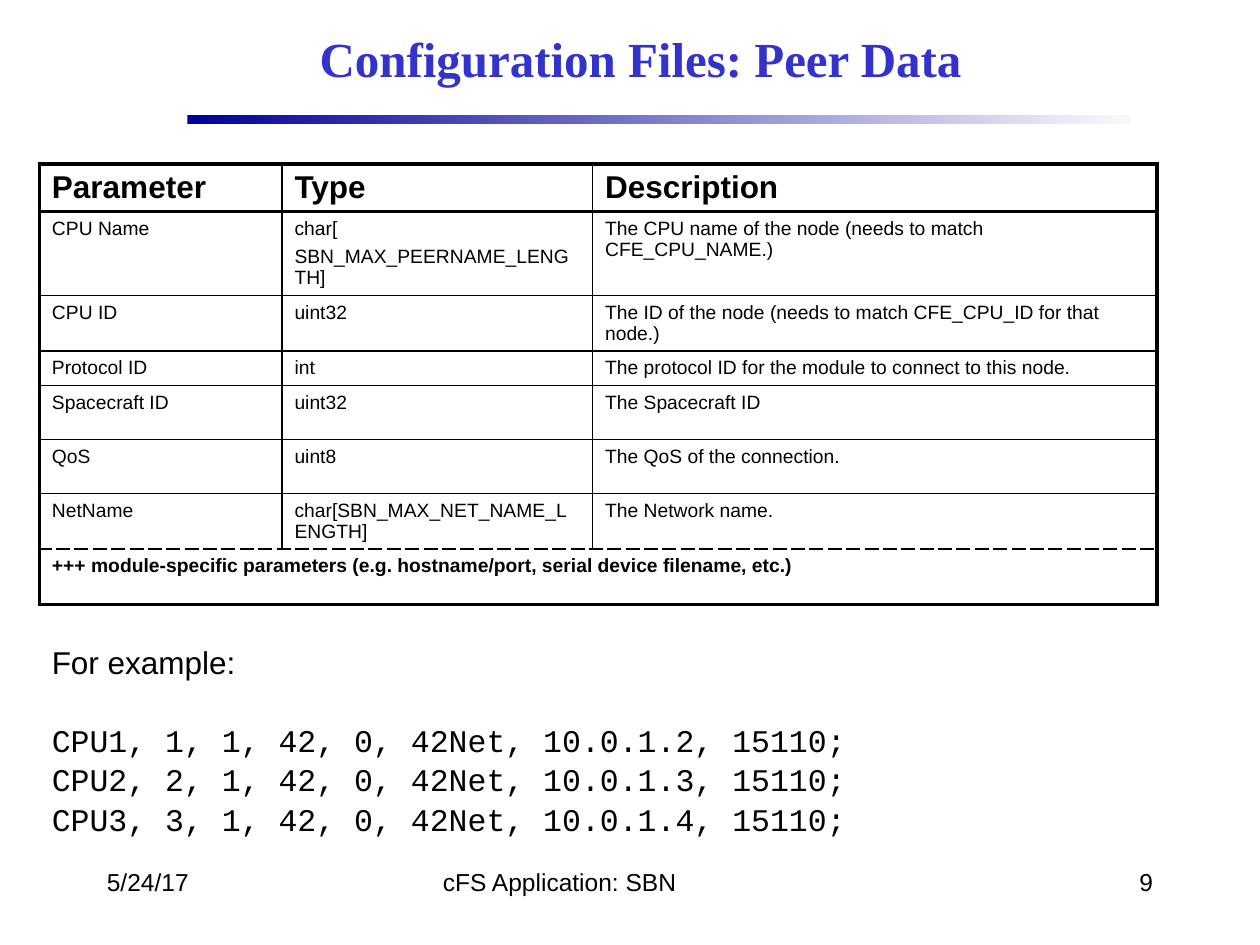
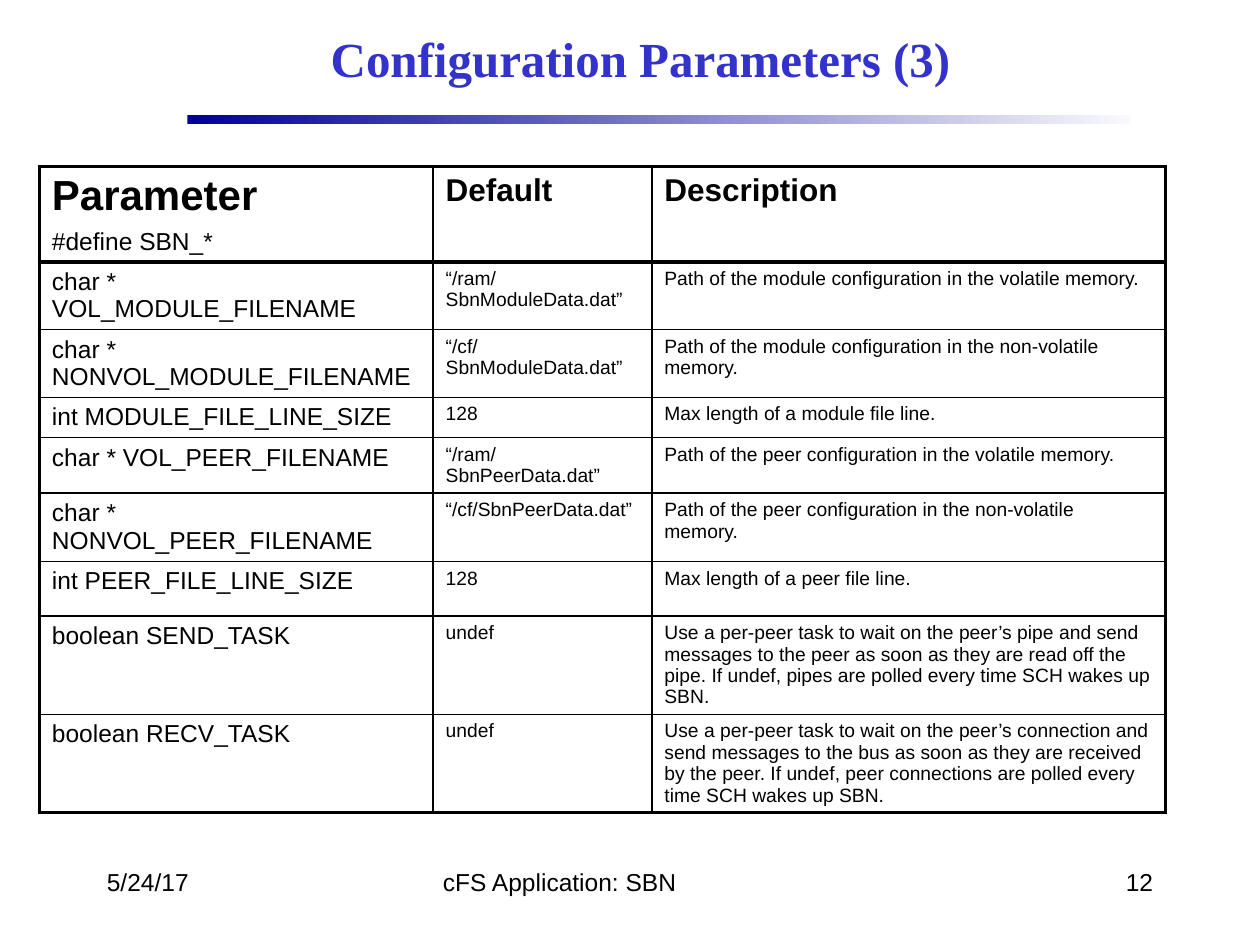
import pptx
import pptx.util
import pptx.dml.color
import pptx.enum.shapes
import pptx.enum.text
import pptx.oxml
import pptx.oxml.ns
from lxml import etree

Pt = pptx.util.Pt
ALIGN = pptx.enum.text.PP_ALIGN
BLACK, TITLE_BLUE = "000000", "3333CC"
BAR_COLOURS = ("000099", "F9F9FD")
THICK, THIN = 2.25, 1


def add_run(paragraph, text, size, bold=False, face="Arial", colour=BLACK):
    run = paragraph.add_run()
    run.text = text
    run.font.size = Pt(size)
    run.font.bold = bold
    run.font.name = face
    run.font.color.rgb = pptx.dml.color.RGBColor.from_string(colour)


def add_border(cell, side, width, dash="solid"):
    """Draw one cell border; side is L, R, T or B, in that order."""
    cell_properties = cell._tc.get_or_add_tcPr()
    line = etree.SubElement(cell_properties, pptx.oxml.ns.qn(f"a:ln{side}"), w=str(Pt(width)))
    fill = etree.SubElement(line, pptx.oxml.ns.qn("a:solidFill"))
    etree.SubElement(fill, pptx.oxml.ns.qn("a:srgbClr"), val=BLACK)
    etree.SubElement(line, pptx.oxml.ns.qn("a:prstDash"), val=dash)


# Each header cell is a list of (text, size, bold) lines.
pages = [
    {
        "title": "Configuration Files: Peer Data",
        "number": "9",
        "top": 93.6,
        "columns": [138.6, 177.5, 322.5],
        "heights": [27.4, 48, 31.7, 19.5, 31, 31, 31.5, 31.5],
        "header": [[("Parameter", 18, True)], [("Type", 18, True)], [("Description", 18, True)]],
        "body_sizes": [11, 11, 11],
        "rows": [
            ["CPU Name", "char[\nSBN_MAX_PEERNAME_LENGTH]",
             "The CPU name of the node (needs to match CFE_CPU_NAME.)"],
            ["CPU ID", "uint32", "The ID of the node (needs to match CFE_CPU_ID for that node.)"],
            ["Protocol ID", "int", "The protocol ID for the module to connect to this node."],
            ["Spacecraft ID", "uint32", "The Spacecraft ID"],
            ["QoS", "uint8", "The QoS of the connection."],
            ["NetName", "char[SBN_MAX_NET_NAME_LENGTH]", "The Network name."],
        ],
        "closing": "+++ module-specific parameters (e.g. hostname/port, serial device filename, etc.)",
        "example": [
            "CPU1, 1, 1, 42, 0, 42Net, 10.0.1.2, 15110;",
            "CPU2, 2, 1, 42, 0, 42Net, 10.0.1.3, 15110;",
            "CPU3, 3, 1, 42, 0, 42Net, 10.0.1.4, 15110;",
        ],
    },
    {
        "title": "Configuration Parameters (3)",
        "number": "12",
        "top": 95,
        "columns": [225, 125, 293.5],
        "heights": [54.6, 38.6, 38.6, 23.1, 31.2, 39, 31.2, 56.2, 56.2],
        "header": [[("Parameter", 24, True), ("#define SBN_*", 14, False)],
                   [("Default", 18, True)], [("Description", 18, True)]],
        "body_sizes": [14, 11, 11],
        "rows": [
            ["char * VOL_MODULE_FILENAME", "“/ram/SbnModuleData.dat”",
             "Path of the module configuration in the volatile memory."],
            ["char * NONVOL_MODULE_FILENAME", "“/cf/SbnModuleData.dat”",
             "Path of the module configuration in the non-volatile memory."],
            ["int MODULE_FILE_LINE_SIZE", "128", "Max length of a module file line."],
            ["char * VOL_PEER_FILENAME", "“/ram/SbnPeerData.dat”",
             "Path of the peer configuration in the volatile memory."],
            ["char * NONVOL_PEER_FILENAME", "“/cf/SbnPeerData.dat”",
             "Path of the peer configuration in the non-volatile memory."],
            ["int PEER_FILE_LINE_SIZE", "128", "Max length of a peer file line."],
            ["boolean SEND_TASK", "undef",
             "Use a per-peer task to wait on the peer’s pipe and send messages to the peer as soon "
             "as they are read off the pipe. If undef, pipes are polled every time SCH wakes up SBN."],
            ["boolean RECV_TASK", "undef",
             "Use a per-peer task to wait on the peer’s connection and send messages to the bus as "
             "soon as they are received by the peer. If undef, peer connections are polled every "
             "time SCH wakes up SBN."],
        ],
        "closing": None,
        "example": [],
    },
]

prs = pptx.Presentation()
prs.slide_width, prs.slide_height = Pt(720), Pt(540)
title_only = prs.slide_layouts[5]

for page in pages:
    slide = prs.slides.add_slide(title_only)

    # Title and the fading bar under it
    title = slide.shapes.title
    title.left, title.top, title.width, title.height = Pt(108), Pt(6), Pt(516), Pt(54)
    title.text_frame.vertical_anchor = pptx.enum.text.MSO_ANCHOR.MIDDLE
    heading = title.text_frame.paragraphs[0]
    heading.alignment = ALIGN.CENTER
    add_run(heading, page["title"], 28, True, "Times New Roman", TITLE_BLUE)

    bar = slide.shapes.add_shape(pptx.enum.shapes.MSO_SHAPE.RECTANGLE,
                                 Pt(107), Pt(65.8), Pt(539), Pt(5.2))
    bar.shadow.inherit = False
    bar.line.fill.background()
    bar.fill.gradient()
    bar.fill.gradient_angle = 0
    for stop, colour, position in zip(bar.fill.gradient_stops, BAR_COLOURS, (0, 1)):
        stop.color.rgb = pptx.dml.color.RGBColor.from_string(colour)
        stop.position = position

    # Parameter table
    contents = [page["header"]]
    for row in page["rows"]:
        contents.append([[(line, size, False) for line in text.split("\n")]
                         for text, size in zip(row, page["body_sizes"])])
    if page["closing"]:
        contents.append([[(page["closing"], 11, True)], [], []])
    last_row, last_column = len(contents) - 1, len(page["columns"]) - 1

    parameters = slide.shapes.add_table(
        len(contents), len(page["columns"]), Pt(22.5), Pt(page["top"]),
        Pt(sum(page["columns"])), Pt(sum(page["heights"]))).table
    parameters.first_row = parameters.horz_banding = False
    for column, width in zip(parameters.columns, page["columns"]):
        column.width = Pt(width)
    for row, height in zip(parameters.rows, page["heights"]):
        row.height = Pt(height)
    if page["closing"]:
        parameters.cell(last_row, 0).merge(parameters.cell(last_row, last_column))

    # Row edges: thick around the table and under the header, dashed above the closing row
    row_edges = [(THIN, "solid")] * (len(contents) + 1)
    row_edges[0] = row_edges[1] = row_edges[-1] = (THICK, "solid")
    if page["closing"]:
        row_edges[last_row] = (THIN, "dash")

    for r, row in enumerate(contents):
        for c, lines in enumerate(row):
            cell = parameters.cell(r, c)
            closes_right = c == last_column or (page["closing"] and r == last_row)
            add_border(cell, "L", THICK if c == 0 else THIN)
            add_border(cell, "R", THICK if closes_right else THIN)
            add_border(cell, "T", *row_edges[r])
            add_border(cell, "B", *row_edges[r + 1])
            cell.fill.background()
            for i, (text, size, bold) in enumerate(lines):
                frame = cell.text_frame
                paragraph = frame.add_paragraph() if i else frame.paragraphs[0]
                if i:
                    paragraph.space_before = Pt(0.35 * size)
                add_run(paragraph, text, size, bold)

    # Sample peer file
    if page["example"]:
        sample = slide.shapes.add_textbox(Pt(22.5), Pt(363.6), Pt(654.5), Pt(116.6)).text_frame
        sample.word_wrap = True
        add_run(sample.paragraphs[0], "For example:", 18)
        for i, entry in enumerate(page["example"]):
            paragraph = sample.add_paragraph()
            paragraph.space_before = Pt(1 if i else 23)
            add_run(paragraph, entry, 18, face="Courier New")

    # Footer
    for text, left, width, alignment in (
            ("5/24/17", 54, 150, ALIGN.LEFT),
            ("cFS Application: SBN", 246, 228, ALIGN.LEFT),
            (page["number"], 516, 150, ALIGN.RIGHT)):
        footer = slide.shapes.add_textbox(Pt(left), Pt(492), Pt(width), Pt(36)).text_frame
        footer.word_wrap = True
        footer.paragraphs[0].alignment = alignment
        add_run(footer.paragraphs[0], text, 14)

prs.save("out.pptx")
